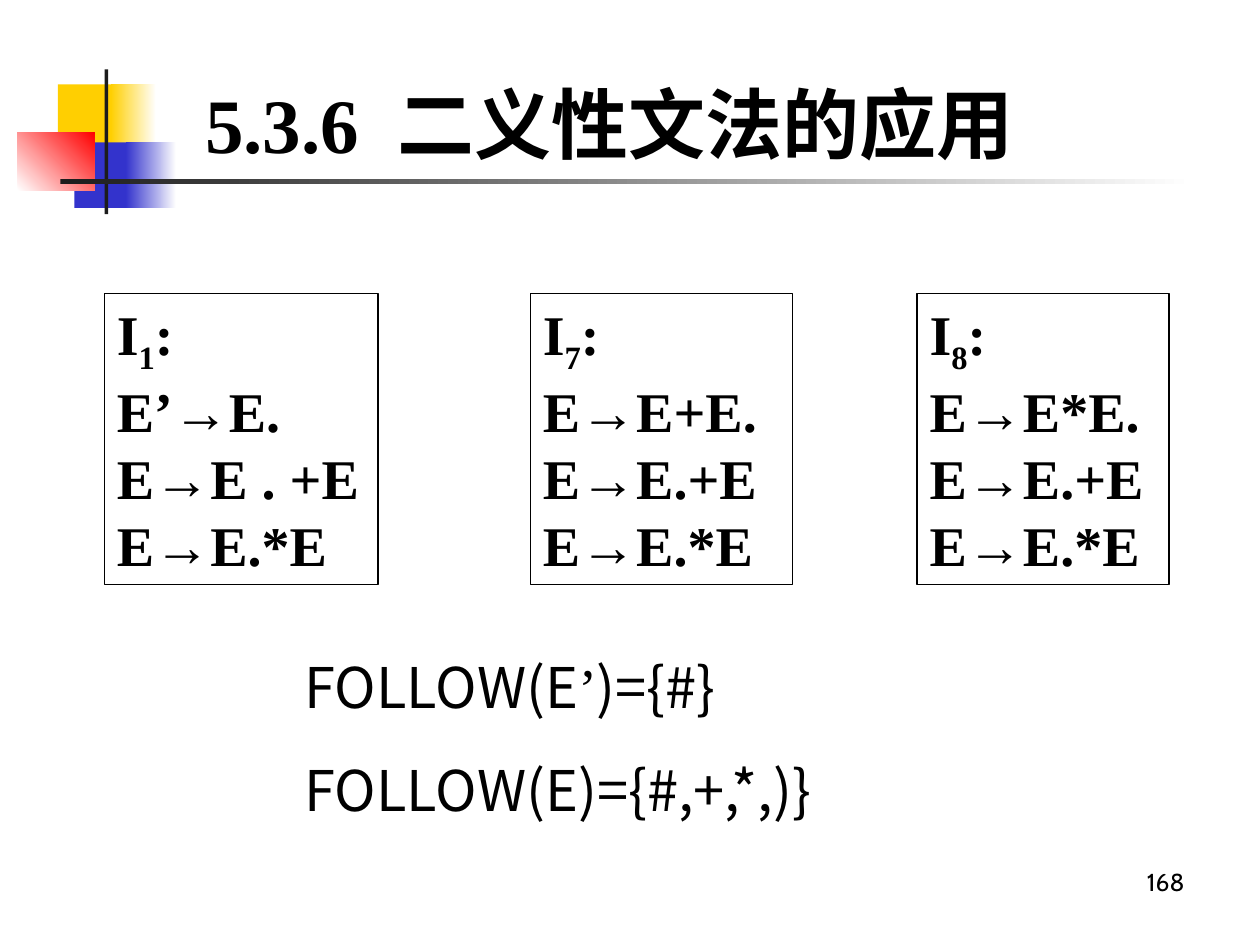
"""Build the slide on applying ambiguous grammars: three LR item sets and their FOLLOW sets."""
from pptx import Presentation
from pptx.dml.color import RGBColor
from pptx.enum.shapes import MSO_SHAPE
from pptx.enum.text import MSO_ANCHOR, PP_ALIGN
from pptx.oxml import parse_xml
from pptx.oxml.ns import nsdecls
from pptx.util import Inches, Pt

RECT = MSO_SHAPE.RECTANGLE
TOP, MIDDLE = MSO_ANCHOR.TOP, MSO_ANCHOR.MIDDLE
LEFT, RIGHT = PP_ALIGN.LEFT, PP_ALIGN.RIGHT
BLACK = RGBColor(0x00, 0x00, 0x00)
WHITE = RGBColor(0xFF, 0xFF, 0xFF)
YELLOW = RGBColor(0xFF, 0xCF, 0x01)
BLUE = RGBColor(0x33, 0x33, 0xCC)
RED = RGBColor(0xFF, 0x00, 0x00)
DARK = RGBColor(0x1C, 0x1C, 0x1C)
SERIF, SANS, NUMBER_FONT = "Times New Roman", "Noto Sans CJK JP", "Cabin"

TITLE = "5.3.6\t二义性文法的应用"
TITLE_TAB = 1.53
PAGE_NUMBER = "168"

DECORATIONS = [
    ((0.46, 0.67, 0.48, 0.52), (YELLOW,), 0),
    ((0.88, 0.67, 0.36, 0.52), (YELLOW, WHITE), 0),
    ((0.59, 1.13, 0.46, 0.52), (BLUE,), 0),
    ((1.00, 1.13, 0.40, 0.52), (BLUE, WHITE), 0),
    ((0.14, 1.05, 0.61, 0.46), (WHITE, RED), 45),
    ((0.83, 0.55, 0.03, 1.15), (DARK,), 0),
    ((0.48, 1.42, 9.00, 0.04), (DARK, WHITE), 0),
]

ITEM_SETS = [
    (0.83, 2.17, "1", ["E’→E.", "E→E . +E", "E→E.*E"]),
    (4.21, 2.08, "7", ["E→E+E.", "E→E.+E", "E→E.*E"]),
    (7.28, 2.00, "8", ["E→E*E.", "E→E.+E", "E→E.*E"]),
]
ITEM_TOP, ITEM_HEIGHT = 2.33, 2.31

FOLLOW_SETS = [
    [("FOLLOW(E", SANS), ("’", SERIF), (")={#}", SANS)],
    [("FOLLOW(E)={#,+,*,)}", SANS)],
]


def add_rect(s, box, colors=(), angle=0, line=None, width=1):
    sp = s.shapes.add_shape(RECT, *map(Inches, box))
    sp.shadow.inherit = False
    if len(colors) == 2:
        sp.fill.gradient()
        sp.fill.gradient_angle = angle
        for stop, color in zip(sp.fill.gradient_stops, colors):
            stop.color.rgb = color
    elif colors:
        sp.fill.solid()
        sp.fill.fore_color.rgb = colors[0]
    else:
        sp.fill.background()
    if line is None:
        sp.line.fill.background()
    else:
        sp.line.color.rgb = line
        sp.line.width = Pt(width)
    return sp


def write(sp, paragraphs, size, font=None, bold=False, align=LEFT, anchor=TOP):
    tf = sp.text_frame
    tf.word_wrap = True
    tf.vertical_anchor = anchor
    for i, runs in enumerate(paragraphs):
        p = tf.paragraphs[0] if i == 0 else tf.add_paragraph()
        p.alignment = align
        for text in runs:
            p.add_run().text = text
        p.font.size = Pt(size)
        p.font.bold = bold
        p.font.color.rgb = BLACK
        if font:
            p.font.name = font
    return tf


def add_title(s):
    sp = s.shapes.add_textbox(*map(Inches, (1.53, 0.64, 8.05, 0.67)))
    tf = write(sp, [[TITLE]], 44, SERIF, bold=True, anchor=MIDDLE)
    tabs = parse_xml(f'<a:tabLst {nsdecls("a")}><a:tab pos="{Inches(TITLE_TAB)}" algn="l"/></a:tabLst>')
    tf.paragraphs[0].font._element.addprevious(tabs)


def add_item_set(s, left, width, number, items):
    sp = add_rect(s, (left, ITEM_TOP, width, ITEM_HEIGHT), line=BLACK)
    lines = [["I", number, ":"]] + [[item] for item in items]
    tf = write(sp, lines, 32, SERIF, bold=True)
    tf.paragraphs[0].runs[1].font._element.set("baseline", "-25000")


def add_follow_sets(s):
    sp = add_rect(s, (2.32, 5.09, 4.67, 1.45), (WHITE,), line=WHITE, width=0.25)
    tf = write(sp, [[text for text, _ in runs] for runs in FOLLOW_SETS], 32)
    tf.margin_top = Inches(0.09)
    for i, (p, runs) in enumerate(zip(tf.paragraphs, FOLLOW_SETS)):
        p.line_spacing = Pt(38.5)
        p.space_before = Pt(20 if i else 0)
        for r, (_, font) in zip(p.runs, runs):
            r.font.name = font


def main():
    prs = Presentation()
    prs.slide_width, prs.slide_height = Inches(10), Inches(7.5)
    s = prs.slides.add_slide(prs.slide_layouts[6])
    for box, colors, angle in DECORATIONS:
        add_rect(s, box, colors, angle)
    sp = s.shapes.add_textbox(*map(Inches, (7.17, 6.83, 2.33, 0.52)))
    write(sp, [[PAGE_NUMBER]], 14, NUMBER_FONT, align=RIGHT)
    add_title(s)
    for item_set in ITEM_SETS:
        add_item_set(s, *item_set)
    add_follow_sets(s)
    prs.save("out.pptx")


if __name__ == "__main__":
    main()
